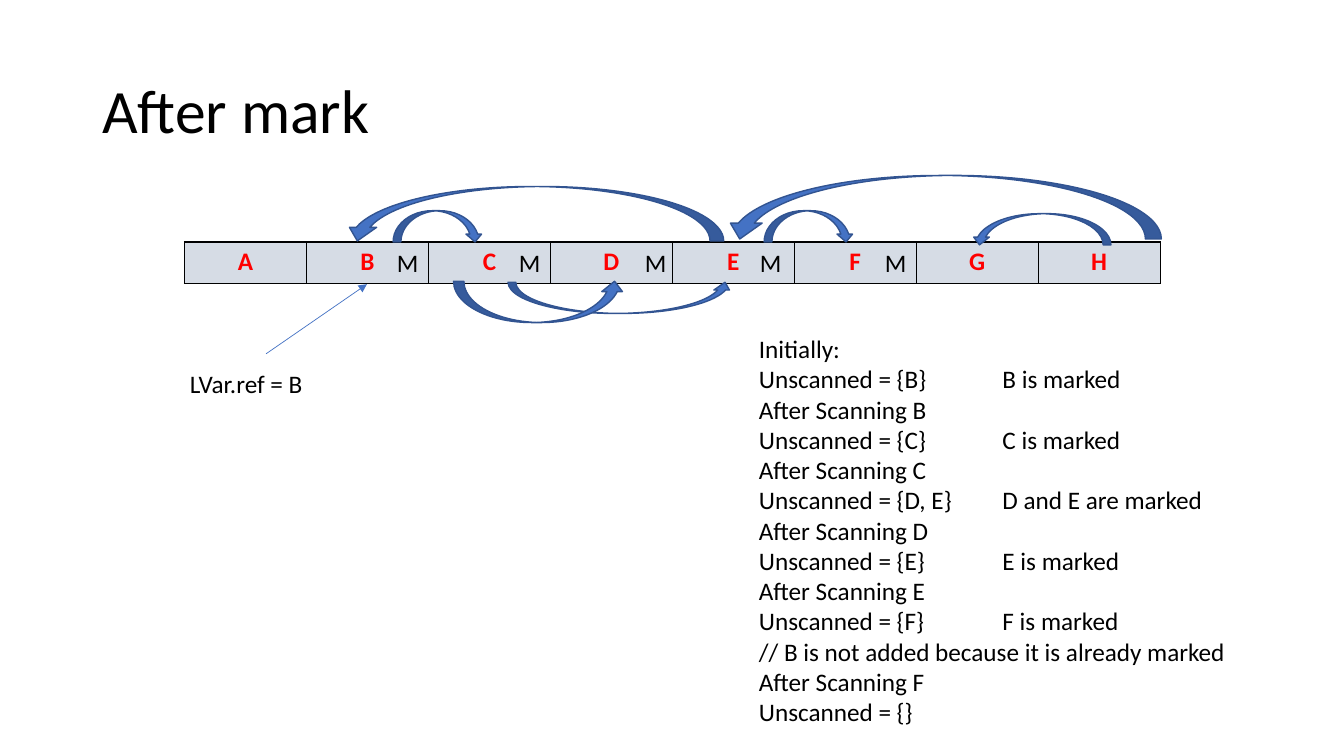
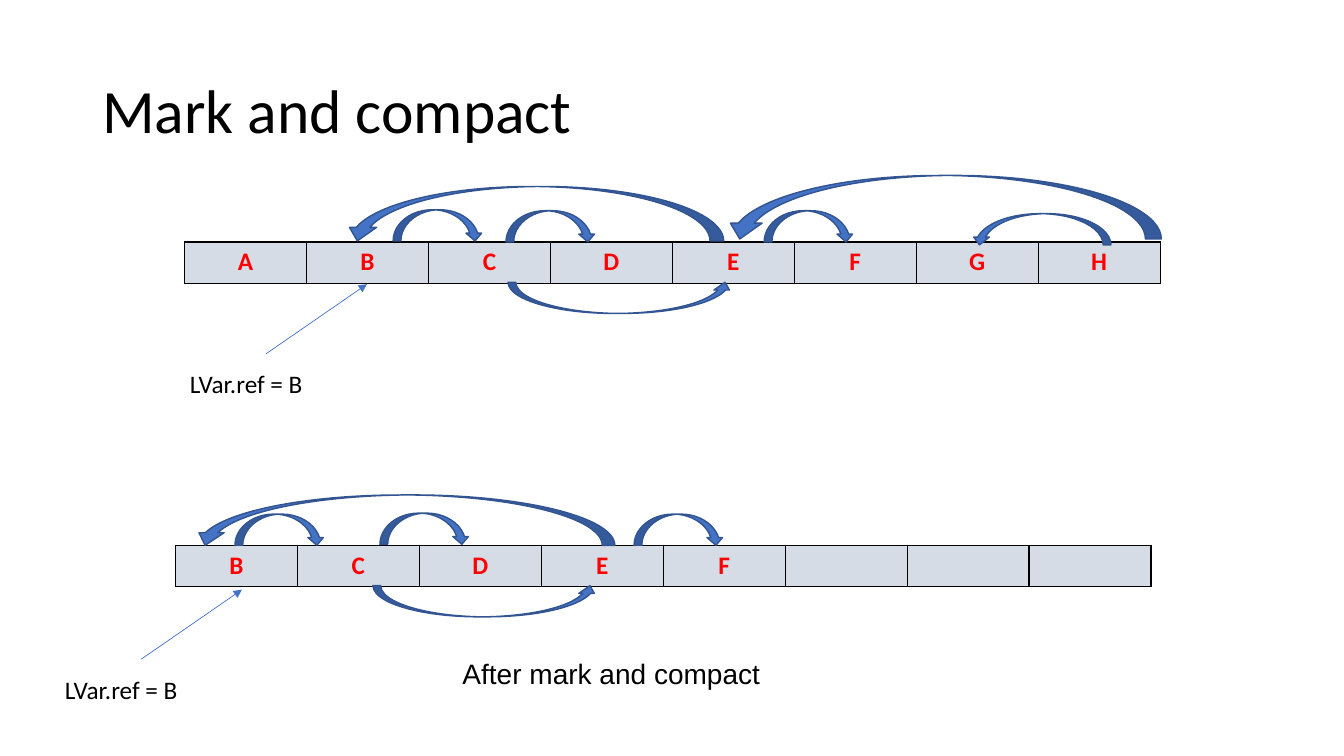
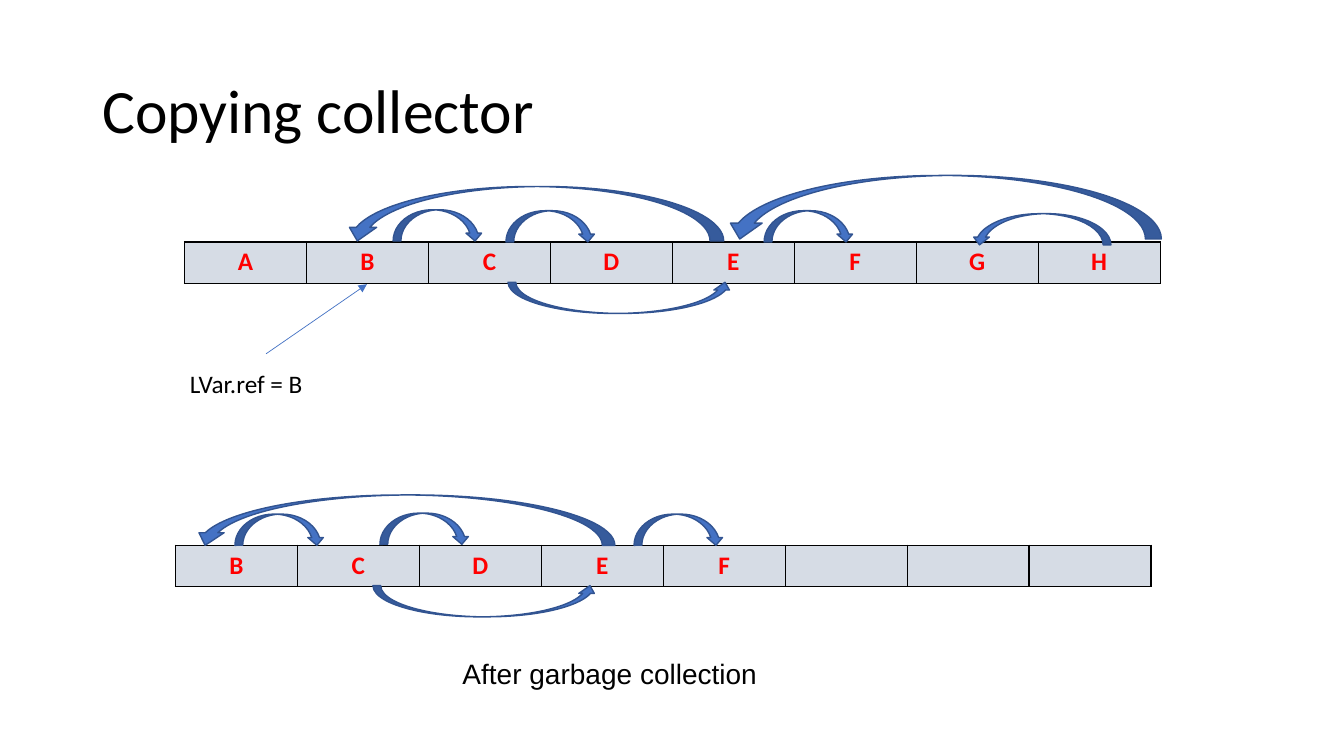
from dataclasses import dataclass
from typing import Optional, Sequence

from lxml.etree import SubElement
from pptx import Presentation
from pptx.dml.color import RGBColor
from pptx.enum.shapes import MSO_CONNECTOR as Connector, MSO_SHAPE as Preset
from pptx.enum.text import MSO_ANCHOR as Anchor, MSO_AUTO_SIZE as AutoSize, PP_ALIGN as Align
from pptx.oxml.ns import qn
from pptx.slide import Slide
from pptx.text.text import _Paragraph as Paragraph
from pptx.util import Pt

COLORS = {
    "text": "000000",
    "object": "FF0000",
    "cell": "D6DCE5",
    "border": "000000",
    "arrow": "4472C4",
    "arrow_edge": "325491",
}
CELL_WIDTH, CELL_HEIGHT = 87.12, 29.5
LABEL_HEIGHT = 28.8
NOTES_TAB = 174


@dataclass(frozen=True)
class CurvedArrow:
    """A reference arc; a turned arc is rotated by half a turn."""
    left: float
    top: float
    width: float = 64.1
    height: float = 22.3
    preset: Preset = Preset.CURVED_UP_ARROW
    turned: bool = False


@dataclass(frozen=True)
class Heap:
    left: float
    top: float
    objects: str
    arrows: Sequence[CurvedArrow]
    root_tip: Optional[tuple[float, float]] = None


def hop(left: float, top: float) -> CurvedArrow:
    """A short arc above the heap to the next object."""
    return CurvedArrow(left, top, preset=Preset.CURVED_DOWN_ARROW)


HEAP_TOP = 172.8
E_TO_F = hop(545.8, 150.5)
LONG_ARROWS = (
    CurvedArrow(245.5, 133.2, 271.4, 38.9, turned=True),
    CurvedArrow(362.9, 201.6, 160.6),
    CurvedArrow(694.1, 152.6, 99.4, turned=True),
    CurvedArrow(517, 125.3, 312.5, 45.4, turned=True),
)


def full_heap(*own_arrows: CurvedArrow) -> Heap:
    arrows = (E_TO_F, *LONG_ARROWS, *own_arrows)
    return Heap(131.8, HEAP_TOP, "ABCDEFGH", arrows, (262.1, 203))


def compacted_heap(root_tip: Optional[tuple[float, float]] = None) -> Heap:
    arrows = (
        hop(167.8, 367.2),
        hop(271.4, 366.5),
        hop(452.9, 367.2),
        CurvedArrow(137.5, 353.5, 301.7, 36, turned=True),
        CurvedArrow(266.4, 418.3, 160.6),
    )
    return Heap(125.3, 389.5, "BCDEF   ", arrows, root_tip)


MARKED_HEAP = full_heap(hop(280.8, 150.5), CurvedArrow(324, 200.9, 122.4, 29.5))
INITIAL_HEAP = full_heap(hop(280.8, 149.8), hop(361.4, 150.5))
MARK_LEFTS = (276.5, 363.6, 453.6, 535.7, 625)
SCAN_NOTES = (
    "Initially:",
    "Unscanned = {B}\tB is marked",
    "After Scanning B",
    "Unscanned = {C}\tC is marked",
    "After Scanning C",
    "Unscanned = {D, E}\tD and E are marked",
    "After Scanning D",
    "Unscanned = {E}\tE is marked",
    "After Scanning E",
    "Unscanned = {F}\tF is marked",
    "// B is not added because it is already marked",
    "After Scanning F",
    "Unscanned = {}",
)


def rgb(name: str) -> RGBColor:
    return RGBColor.from_string(COLORS[name])


def add_run(paragraph: Paragraph, text: str, size: float = 18, font: str = "Calibri",
            color: str = "text", bold: bool = False) -> None:
    run = paragraph.add_run()
    run.text = text
    run.font.size = Pt(size)
    run.font.name = font
    run.font.bold = bold
    run.font.color.rgb = rgb(color)


def add_title(slide: Slide, text: str) -> None:
    frame = slide.shapes.add_textbox(Pt(66), Pt(28.8), Pt(828), Pt(104.4)).text_frame
    frame.word_wrap = True
    frame.vertical_anchor = Anchor.MIDDLE
    paragraph = frame.paragraphs[0]
    paragraph.line_spacing = 0.9
    add_run(paragraph, text, size=44)


def add_text(slide: Slide, lines: Sequence[str], left: float, top: float, width: float,
             height: float = LABEL_HEIGHT, size: float = 18, font: str = "Calibri") -> None:
    frame = slide.shapes.add_textbox(Pt(left), Pt(top), Pt(width), Pt(height)).text_frame
    frame.word_wrap = True
    frame.auto_size = AutoSize.SHAPE_TO_FIT_TEXT
    for index, line in enumerate(lines):
        paragraph = frame.add_paragraph() if index else frame.paragraphs[0]
        if "\t" in line:
            tabs = SubElement(paragraph._p.get_or_add_pPr(), qn("a:tabLst"))
            SubElement(tabs, qn("a:tab"), pos=str(Pt(NOTES_TAB)), algn="l")
        add_run(paragraph, line, size, font)


def add_cells(slide: Slide, heap: Heap) -> None:
    count = len(heap.objects)
    table = slide.shapes.add_table(1, count, Pt(heap.left), Pt(heap.top),
                                   Pt(CELL_WIDTH * count), Pt(CELL_HEIGHT)).table
    table.first_row = table.horz_banding = False
    for column, name in enumerate(heap.objects):
        table.columns[column].width = Pt(CELL_WIDTH)
        cell = table.cell(0, column)
        properties = cell._tc.get_or_add_tcPr()
        for side in ("a:lnL", "a:lnR", "a:lnT", "a:lnB"):
            border = SubElement(properties, qn(side), w=str(Pt(1)))
            fill = SubElement(border, qn("a:solidFill"))
            SubElement(fill, qn("a:srgbClr"), val=COLORS["border"])
        cell.fill.solid()
        cell.fill.fore_color.rgb = rgb("cell")
        if name.strip():
            paragraph = cell.text_frame.paragraphs[0]
            paragraph.alignment = Align.CENTER
            add_run(paragraph, name, color="object", bold=True)


def add_root(slide: Slide, tip_x: float, tip_y: float) -> None:
    """Draw the local variable and its straight pointer into the heap."""
    pointer = slide.shapes.add_connector(Connector.STRAIGHT, Pt(tip_x - 72), Pt(tip_y + 49.7),
                                         Pt(tip_x), Pt(tip_y))
    pointer.line.color.rgb = rgb("arrow")
    pointer.line.width = Pt(0.5)
    properties = pointer._element.spPr
    SubElement(properties.find(qn("a:ln")), qn("a:tailEnd"), type="triangle")
    SubElement(properties, qn("a:effectLst"))
    add_text(slide, ["LVar.ref = B"], tip_x - 133.5, tip_y + 56.9, 136.1)


def add_arrow(slide: Slide, arrow: CurvedArrow) -> None:
    shape = slide.shapes.add_shape(arrow.preset, Pt(arrow.left), Pt(arrow.top),
                                   Pt(arrow.width), Pt(arrow.height))
    shape.rotation = 180 if arrow.turned else 0
    shape.shadow.inherit = False
    shape.fill.solid()
    shape.fill.fore_color.rgb = rgb("arrow")
    shape.line.color.rgb = rgb("arrow_edge")
    shape.line.width = Pt(1)


def add_heap(slide: Slide, heap: Heap) -> None:
    add_cells(slide, heap)
    if heap.root_tip:
        add_root(slide, *heap.root_tip)
    for arrow in heap.arrows:
        add_arrow(slide, arrow)


def add_slide(presentation: Presentation, title: str, *heaps: Heap) -> Slide:
    slide = presentation.slides.add_slide(presentation.slide_layouts[6])
    add_title(slide, title)
    for heap in heaps:
        add_heap(slide, heap)
    return slide


def add_caption(slide: Slide, text: str) -> None:
    add_text(slide, [text], 323.3, 465.1, 326.9, 31.7, size=20, font="Arial")


def main() -> None:
    presentation = Presentation()
    presentation.slide_width, presentation.slide_height = Pt(960), Pt(540)

    mark = add_slide(presentation, "After mark", MARKED_HEAP)
    add_text(mark, SCAN_NOTES, 535, 234.7, 384.5, 290.9)
    for left in MARK_LEFTS:
        add_text(mark, ["M"], left, HEAP_TOP, 38.9)

    compact = add_slide(presentation, "Mark and compact", INITIAL_HEAP,
                        compacted_heap(root_tip=(172.8, 421.2)))
    add_caption(compact, "After mark and compact")

    copying = add_slide(presentation, "Copying collector", INITIAL_HEAP, compacted_heap())
    add_caption(copying, "After garbage collection")

    presentation.save("out.pptx")


if __name__ == "__main__":
    main()
